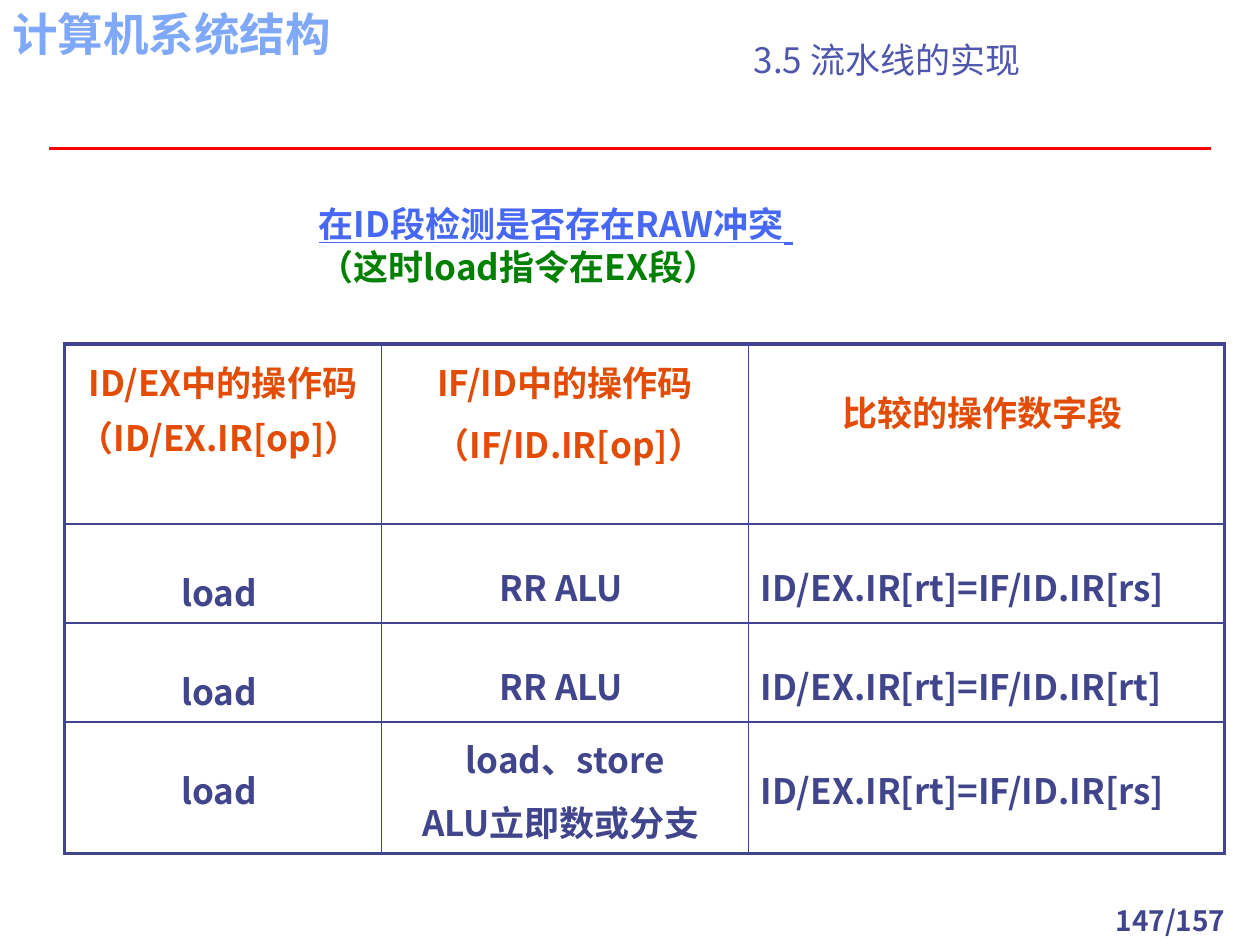
from lxml import etree
from pptx import Presentation, util as u
from pptx.dml.color import RGBColor
from pptx.enum import shapes, text
from pptx.oxml import ns

COLORS = {"navy": "40458C", "title": "4F56AD", "sky": "7FA8F9", "blue": "4768F5",
          "green": "008000", "orange": "E24C05", "red": "FF0000"}
CENTER, LEFT = text.PP_ALIGN.CENTER, text.PP_ALIGN.LEFT
TOP, BOTTOM = text.MSO_ANCHOR.TOP, text.MSO_ANCHOR.BOTTOM


class Deck:
    """Style and current slide, with one method per kind of element."""

    font = "Noto Sans CJK SC"

    def __init__(self, prs):
        self.s = prs.slides.add_slide(prs.slide_layouts[6])

    def child(self, parent, tag, **attrs):
        return etree.SubElement(parent, ns.qn(tag), attrs)

    def run(self, p, words, color, **format):
        r = p.add_run()
        r.text = words
        for name, value in {"name": self.font, "size": u.Pt(20), "bold": True, **format}.items():
            setattr(r.font, name, value)
        r.font.color.rgb = RGBColor.from_string(COLORS[color])
        self.child(r.font._element, "a:ea", typeface=self.font)

    def textbox(self, box, lines, align=LEFT, anchor=TOP, indent=0):
        tf = self.s.shapes.add_textbox(*map(u.Pt, box)).text_frame
        tf.word_wrap, tf.vertical_anchor = True, anchor
        for i, runs in enumerate(lines):
            p = tf.add_paragraph() if i else tf.paragraphs[0]
            p.alignment = align
            if indent:
                pPr = p._p.get_or_add_pPr()
                pPr.set("marL", str(u.Pt(indent)))
                pPr.set("indent", "0")
            for words, color, format in runs:
                self.run(p, words, color, **format)

    def line(self, x1, y1, x2, y2, color, width):
        sp = self.s.shapes.add_connector(shapes.MSO_CONNECTOR.STRAIGHT,
                                         *map(u.Pt, (x1, y1, x2, y2)))
        sp.line.color.rgb = RGBColor.from_string(COLORS[color])
        sp.line.width = u.Pt(width)
        self.child(sp._element.spPr, "a:effectLst")

    def border(self, cell, side, width):
        ln = self.child(cell._tc.get_or_add_tcPr(), "a:ln" + side, w=str(u.Pt(width)))
        self.child(self.child(ln, "a:solidFill"), "a:srgbClr", val=COLORS["navy"])

    def table(self, left, top, widths, heights, rows):
        box = (left, top, sum(widths), sum(heights))
        table = self.s.shapes.add_table(len(rows), len(widths), *map(u.Pt, box)).table
        table.first_row = table.horz_banding = False
        for col, width in zip(table.columns, widths):
            col.width = u.Pt(width)
        for i, (height, row) in enumerate(zip(heights, rows)):
            table.rows[i].height = u.Pt(height)
            for j, (spacing, *lines) in enumerate(row):
                cell = table.cell(i, j)
                outer = {"L": j == 0, "R": j == len(widths) - 1,
                         "T": i == 0, "B": i == len(rows) - 1}
                for side, edge in outer.items():
                    self.border(cell, side, 2.25 if edge else 1)
                cell.fill.background()
                for k, words in enumerate(lines):
                    p = cell.text_frame.add_paragraph() if k else cell.text_frame.paragraphs[0]
                    p.alignment = LEFT if i and j == 2 else CENTER
                    p.line_spacing, p.space_before = spacing, u.Pt(4)
                    self.run(p, words, "navy" if i else "orange")


def main():
    prs = Presentation()
    prs.slide_width, prs.slide_height = u.Pt(720), u.Pt(540)
    d = Deck(prs)
    d.textbox((617.76, 512.64, 102.24, 23.76),
              [[("147/157", "navy", {"size": u.Pt(16)})]], CENTER)
    d.line(28, 85, 692, 85, "red", 2)
    d.textbox((0, 0, 203.76, 38.88), [[("计算机系统结构", "sky", {"size": u.Pt(26)})]])
    d.textbox((306, 19.44, 401.76, 30.24),
              [[("3.5 流水线的实现", "title", {"bold": False})]], CENTER, BOTTOM)
    d.table(36.72, 196.56, (181.44, 209.52, 272.16), (102.8, 56.6, 56.6, 75.4), [
        [(1.1, "ID/EX中的操作码 （ID/EX.IR[op]） "),
         (1.1, "IF/ID中的操作码", " （IF/ID.IR[op]）"),
         (1.7, "比较的操作数字段 ")],
        [(1.7, "load "), (1.6, "RR ALU "), (1.6, "ID/EX.IR[rt]=IF/ID.IR[rs]")],
        [(1.7, "load "), (1.6, "RR ALU "), (1.6, "ID/EX.IR[rt]=IF/ID.IR[rt]")],
        [(1.7, "load "), (1.1, "load、store", "ALU立即数或分支 "),
         (1.7, "ID/EX.IR[rt]=IF/ID.IR[rs]")],
    ])
    d.textbox((102.96, 108, 532.8, 92.16), [
        [("在ID段检测是否存在RAW冲突", "blue", {"underline": True}),
         (" ", "blue", {"underline": True, "size": u.Pt(24), "bold": False})],
        [("（这时load指令在EX段）", "green", {})],
    ], indent=72)
    prs.save("out.pptx")


if __name__ == "__main__":
    main()
